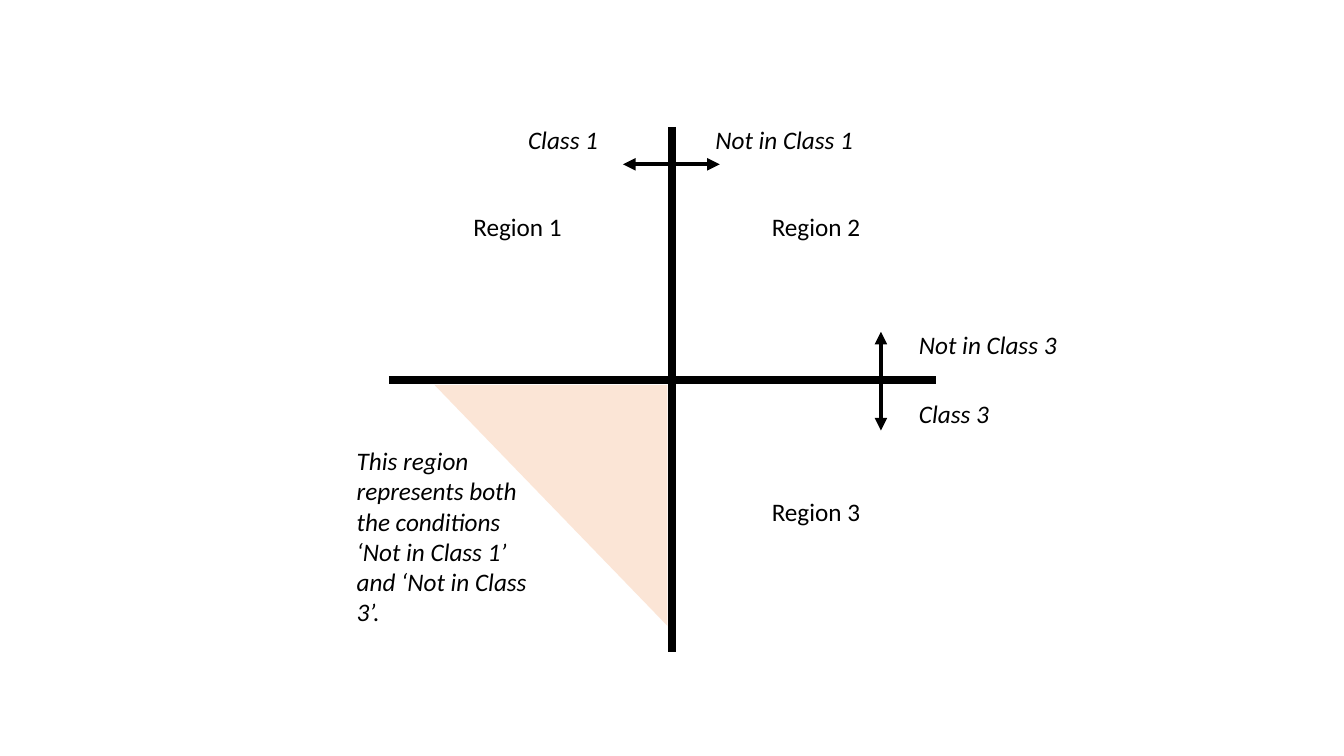
from lxml.etree import SubElement
from pptx import Presentation
from pptx.dml.color import RGBColor
from pptx.enum.shapes import MSO_CONNECTOR as Connector, MSO_SHAPE as Preset
from pptx.enum.text import MSO_AUTO_SIZE as AutoSize
from pptx.oxml.ns import qn
from pptx.util import Cm, Pt

BLACK = "000000"
PEACH = "FBE5D6"


def color(value):
    return RGBColor.from_string(value)


def write(frame, text, size=18, font="Calibri", fill=BLACK, italic=False):
    run = frame.paragraphs[0].add_run()
    run.text = text
    run.font.size = Pt(size)
    run.font.name = font
    run.font.italic = italic
    run.font.color.rgb = color(fill)


class Diagram:
    def __init__(self, slide, ink=BLACK):
        self.slide = slide
        self.ink = ink

    def line(self, start, end, width, arrows=False):
        connector = self.slide.shapes.add_connector(
            Connector.STRAIGHT, *map(Cm, start + end))
        connector.line.width = Pt(width)
        connector.line.color.rgb = color(self.ink)
        SubElement(connector._element.spPr, qn("a:effectLst"))
        if arrows:
            outline = connector.line._get_or_add_ln()
            for name in ("a:headEnd", "a:tailEnd"):
                SubElement(outline, qn(name), type="triangle")

    def label(self, text, left, top, width=3, height=1.02, **style):
        box = self.slide.shapes.add_textbox(*map(Cm, (left, top, width, height)))
        box.text_frame.word_wrap = True
        box.text_frame.auto_size = AutoSize.SHAPE_TO_FIT_TEXT
        write(box.text_frame, text, fill=self.ink, **style)

    def triangle(self, left, top, width, height, fill, rotation, apex):
        shape = self.slide.shapes.add_shape(
            Preset.ISOSCELES_TRIANGLE, *map(Cm, (left, top, width, height)))
        shape.adjustments[0] = apex
        shape.rotation = rotation
        shape.shadow.inherit = False
        shape.fill.solid()
        shape.fill.fore_color.rgb = color(fill)
        shape.line.fill.background()


presentation = Presentation()
presentation.slide_width = Cm(33.87)
presentation.slide_height = Cm(19.05)
diagram = Diagram(presentation.slides.add_slide(presentation.slide_layouts[6]))

axis_x, axis_y = 16.94, 9.58
diagram.line((axis_x, 3.2), (axis_x, 16.43), 6)
diagram.line((9.8, axis_y), (23.6, axis_y), 6)

left_column, right_column = 11.68, 19.2
upper_row, lower_row = 5.21, 12.37
regions = [(right_column, upper_row, 2), (left_column, upper_row, 1),
           (right_column, lower_row, 3)]
for left, top, number in regions:
    diagram.label(f"Region {number}", left, top)

diagram.line((15.7, 4.14), (18.14, 4.14), 3, arrows=True)
diagram.line((22.2, 10.85), (22.2, 8.36), 3, arrows=True)

classes = [("Class 1", 13.06, 3, 3), ("Not in Class 1", 17.78, 3, 4.04),
           ("Not in Class 3", 22.91, 8.18, 4.04), ("Class 3", 22.91, 9.91, 3)]
for text, left, top, width in classes:
    diagram.label(text, left, top, width, italic=True)

diagram.triangle(10.85, 9.8, 6.07, 5.87, PEACH, rotation=270, apex=1)
diagram.label("This region represents both the conditions ‘Not in Class 1’ "
              "and ‘Not in Class 3’.", 8.74, 11.1, 5.31, 4.88, italic=True)

presentation.save("out.pptx")
